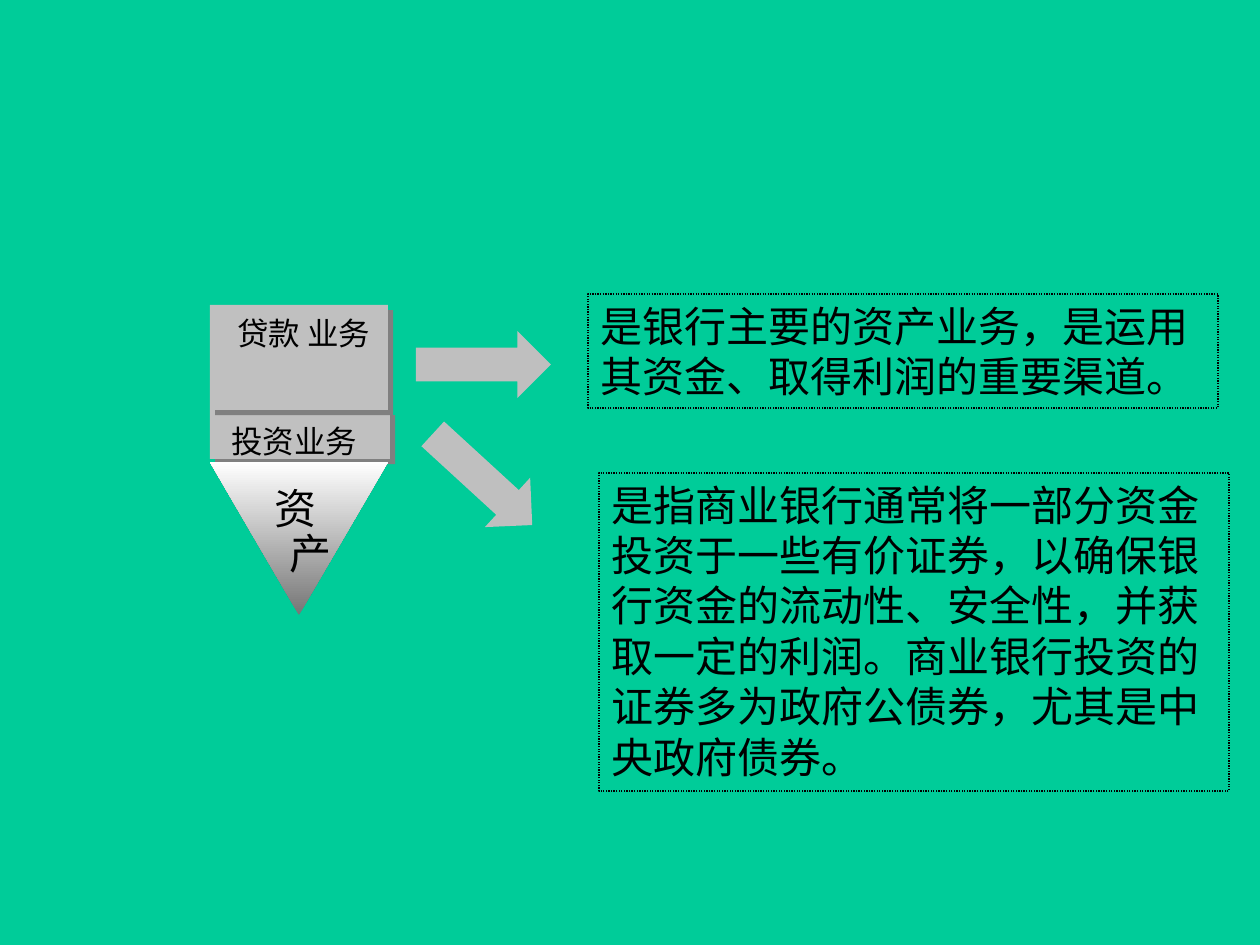
import lxml.etree
import pptx
import pptx.dml.color
import pptx.enum.dml
import pptx.enum.shapes
import pptx.enum.text
import pptx.oxml.ns
import pptx.util

RGBColor = pptx.dml.color.RGBColor
BACKGROUND = RGBColor(0x00, 0xCC, 0x99)
BLOCK = RGBColor(0xC0, 0xC0, 0xC0)
ARROW = RGBColor(0xBF, 0xBF, 0xBF)
SHADOW = RGBColor(0x80, 0x80, 0x80)
TIP = RGBColor(0x76, 0x76, 0x76)
WHITE = RGBColor(0xFF, 0xFF, 0xFF)
BLACK = RGBColor(0x00, 0x00, 0x00)
FONT = "Times New Roman"
SHAPES = pptx.enum.shapes.MSO_SHAPE
LOANS = "是银行主要的资产业务，是运用其资金、取得利润的重要渠道。"
INVESTMENTS = (
    "是指商业银行通常将一部分资金投资于一些有价证券，以确保银行资金的流动性、安全性，"
    "并获取一定的利润。商业银行投资的证券多为政府公债券，尤其是中央政府债券。"
)


def px(length):
    return pptx.util.Emu(round(length * 914400 / 126))


def add_text(box, text, size):
    frame = box.text_frame
    frame.word_wrap = True
    frame.vertical_anchor = pptx.enum.text.MSO_ANCHOR.TOP
    frame.text = text
    para = frame.paragraphs[0]
    para.alignment = pptx.enum.text.PP_ALIGN.LEFT
    for span in para.runs:
        span.font.name = FONT
        span.font.size = pptx.util.Pt(size)
        span.font.color.rgb = BLACK
    return para


def add_shape(page, kind, left, top, width, height, color=None):
    shape = page.shapes.add_shape(kind, px(left), px(top), px(width), px(height))
    shape.shadow.inherit = False
    shape.line.fill.background()
    if color is None:
        shape.fill.background()
    else:
        shape.fill.solid()
        shape.fill.fore_color.rgb = color
    return shape


def add_block(page, left, top, width, height):
    block = add_shape(page, SHAPES.RECTANGLE, left, top, width, height, BLOCK)
    effects = block._element.spPr.find(pptx.oxml.ns.qn("a:effectLst"))
    shadow = lxml.etree.SubElement(
        effects, pptx.oxml.ns.qn("a:outerShdw"),
        dist=str(pptx.util.Pt(4.2)), dir="2700000", algn="ctr", rotWithShape="0",
    )
    lxml.etree.SubElement(shadow, pptx.oxml.ns.qn("a:srgbClr"), val=str(SHADOW))


def add_label(page, text, size, left, top, width, height, indent=0):
    box = page.shapes.add_textbox(px(left), px(top), px(width), px(height))
    frame = box.text_frame
    frame.margin_left = frame.margin_right = px(6)
    frame.margin_top = frame.margin_bottom = px(6)
    para = add_text(box, text, size)
    para.line_spacing = 0.9
    if indent:
        properties = para._p.get_or_add_pPr()
        properties.set("marL", str(px(indent)))
        properties.set("indent", str(px(-indent)))


def add_triangle(page, left, top, width, height):
    builder = page.shapes.build_freeform(px(left + width / 2), px(top + height))
    builder.add_line_segments(
        [(px(left), px(top)), (px(left + width), px(top))], close=True
    )
    triangle = builder.convert_to_shape()
    triangle.shadow.inherit = False
    triangle.line.fill.background()
    triangle.fill.gradient()
    triangle.fill.gradient_angle = 90
    for stop, color in zip(triangle.fill.gradient_stops, (TIP, WHITE)):
        stop.color.rgb = color


def add_asset_column(page, left, top, width):
    add_block(page, left, top + 105, width + 2, 49)
    add_triangle(page, left, top + 157, width, 153)
    add_block(page, left, top, width, 105)
    add_label(page, "贷款 业务", 18, left + 21, top + 7, 155, 46)
    add_label(page, "投资业务", 18, left + 15, top + 115, 155, 46)
    add_label(page, "资产", 24, left + 58, top + 177, 72, 102, 15)


def add_arrow(page, left, top, rotation=0):
    arrow = add_shape(page, SHAPES.RIGHT_ARROW, left, top, 135, 67, ARROW)
    arrow.rotation = rotation


def add_note(page, text, left, top, width, height):
    note = add_shape(page, SHAPES.RECTANGLE, left, top, width, height)
    note.line.color.rgb = BLACK
    note.line.width = pptx.util.Pt(0.75)
    note.line.dash_style = pptx.enum.dml.MSO_LINE.ROUND_DOT
    add_text(note, text, 24)


def main():
    deck = pptx.Presentation()
    deck.slide_width, deck.slide_height = px(1260), px(945)
    page = deck.slides.add_slide(deck.slide_layouts[6])
    page.background.fill.solid()
    page.background.fill.fore_color.rgb = BACKGROUND
    add_asset_column(page, 210, 305, 178)
    add_arrow(page, 416, 331)
    add_arrow(page, 415, 446, 42.5)
    add_note(page, LOANS, 588, 294, 630, 114)
    add_note(page, INVESTMENTS, 599, 473, 630, 318)
    deck.save("out.pptx")


if __name__ == "__main__":
    main()
